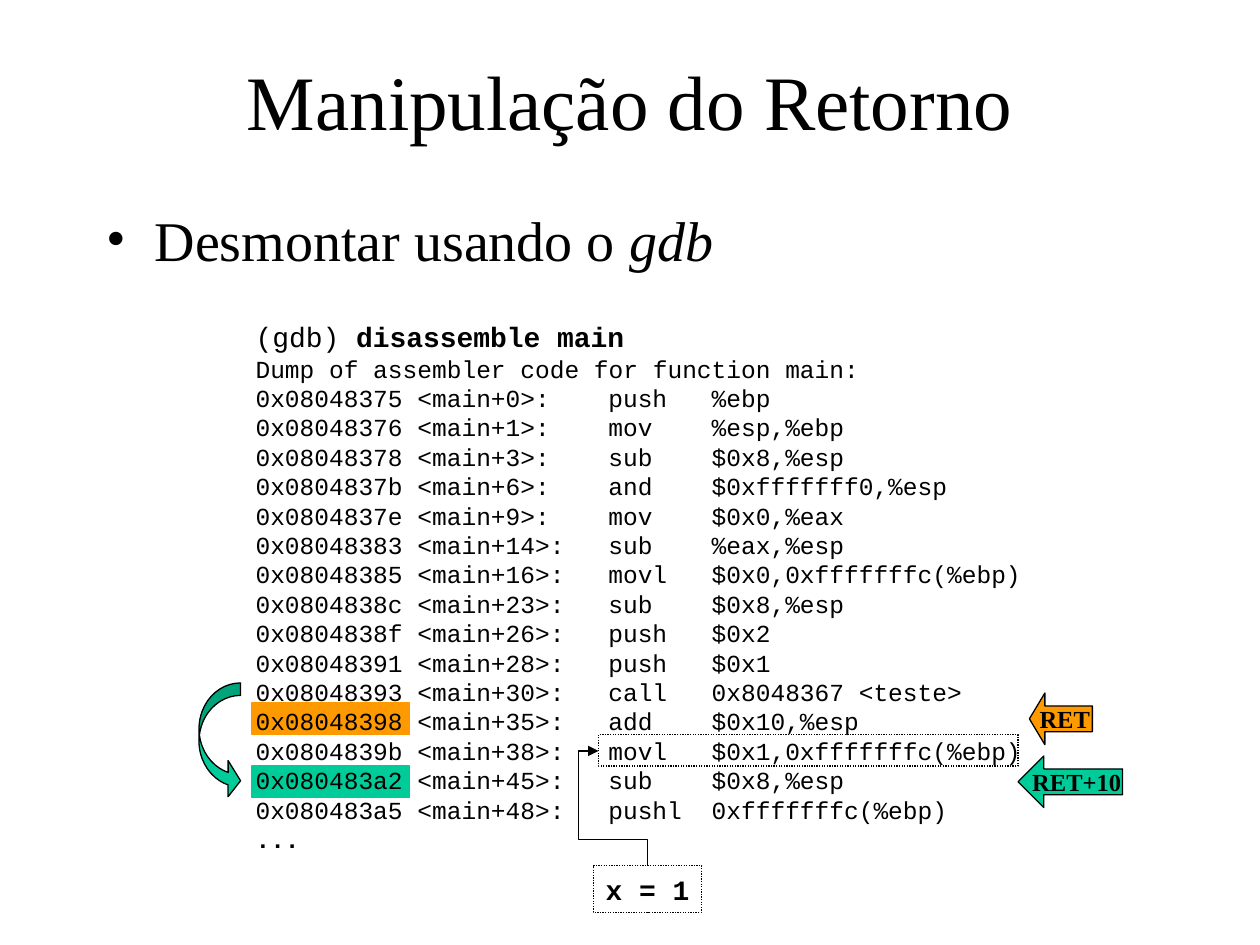
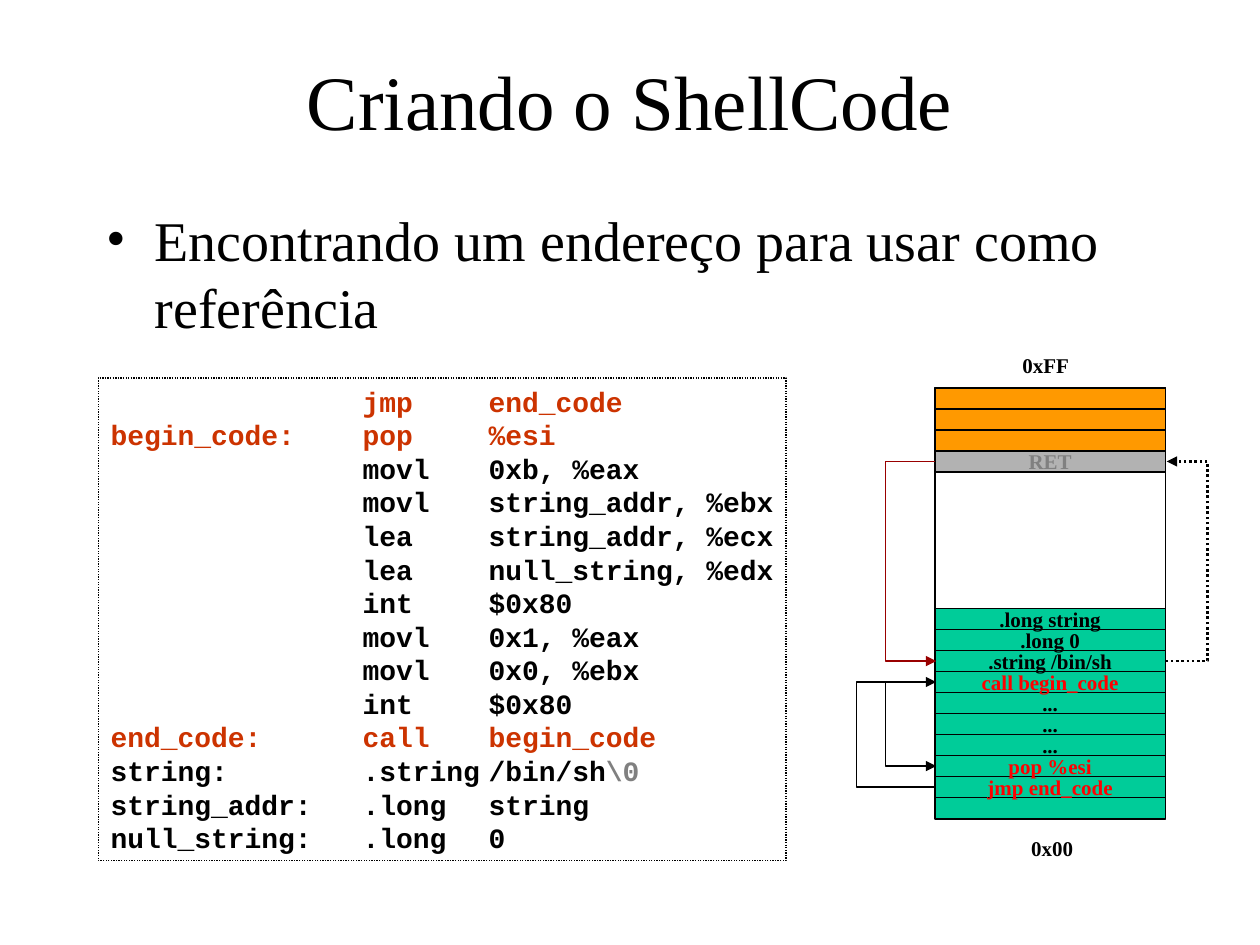
from lxml import etree
from pptx import Presentation
from pptx.dml.color import RGBColor
from pptx.enum import dml, shapes, text
from pptx.oxml import ns
from pptx.util import Inches, Pt

BLACK = RGBColor(0x00, 0x00, 0x00)
WHITE = RGBColor(0xFF, 0xFF, 0xFF)
ORANGE = RGBColor(0xFF, 0x99, 0x00)
GREEN = RGBColor(0x00, 0xCC, 0x99)
SILVER = RGBColor(0xB2, 0xB2, 0xB2)
GRAY = RGBColor(0x80, 0x80, 0x80)
RED = RGBColor(0xFF, 0x00, 0x00)
RUST = RGBColor(0xCC, 0x33, 0x00)
MAROON = RGBColor(0x99, 0x00, 0x00)

SERIF = "Times New Roman"
MONO = "Courier New"
DOTTED = dml.MSO_LINE.ROUND_DOT
RECTANGLE = shapes.MSO_SHAPE.RECTANGLE

INSTRUCTIONS = [
    ("0x08048375", 0, "push", "%ebp"),
    ("0x08048376", 1, "mov", "%esp,%ebp"),
    ("0x08048378", 3, "sub", "$0x8,%esp"),
    ("0x0804837b", 6, "and", "$0xfffffff0,%esp"),
    ("0x0804837e", 9, "mov", "$0x0,%eax"),
    ("0x08048383", 14, "sub", "%eax,%esp"),
    ("0x08048385", 16, "movl", "$0x0,0xfffffffc(%ebp)"),
    ("0x0804838c", 23, "sub", "$0x8,%esp"),
    ("0x0804838f", 26, "push", "$0x2"),
    ("0x08048391", 28, "push", "$0x1"),
    ("0x08048393", 30, "call", "0x8048367 <teste>"),
    ("0x08048398", 35, "add", "$0x10,%esp"),
    ("0x0804839b", 38, "movl", "$0x1,0xfffffffc(%ebp)"),
    ("0x080483a2", 45, "sub", "$0x8,%esp"),
    ("0x080483a5", 48, "pushl", "0xfffffffc(%ebp)"),
]

SHELLCODE = [
    ("", "jmp", "end_code", RUST),
    ("begin_code:", "pop", "%esi", RUST),
    ("", "movl", "0xb, %eax", BLACK),
    ("", "movl", "string_addr, %ebx", BLACK),
    ("", "lea", "string_addr, %ecx", BLACK),
    ("", "lea", "null_string, %edx", BLACK),
    ("", "int", "$0x80", BLACK),
    ("", "movl", "0x1, %eax", BLACK),
    ("", "movl", "0x0, %ebx", BLACK),
    ("", "int", "$0x80", BLACK),
    ("end_code:", "call", "begin_code", RUST),
    ("string:", ".string", "/bin/sh", BLACK),
    ("string_addr:", ".long", "string", BLACK),
    ("null_string:", ".long", "0", BLACK),
]

PAYLOAD = [
    (".long string", BLACK), (".long 0", BLACK), (".string /bin/sh", BLACK),
    ("call begin_code", RED), ("...", BLACK), ("...", BLACK), ("...", BLACK),
    ("pop %esi", RED), ("jmp end_code", RED), ("", BLACK),
]

STACK_LEFT, STACK_TOP, STACK_WIDTH = 7.42, 3.08, 1.83
STACK_RIGHT = STACK_LEFT + STACK_WIDTH
ROW = 1 / 6
PAYLOAD_TOP = 4.83


def format_font(font, name, size, color=BLACK, bold=False):
    font.name = name
    font.size = Pt(size)
    font.color.rgb = color
    font.bold = bold


def add_property(paragraph, tag, **attributes):
    properties = paragraph._p.get_or_add_pPr()
    element = etree.Element(ns.qn(tag), attributes)
    properties.insert_element_before(element, "a:defRPr")
    return element


def set_tabs(paragraph, stops):
    tab_list = add_property(paragraph, "a:tabLst")
    for stop in stops:
        etree.SubElement(tab_list, ns.qn("a:tab"), pos=str(Inches(stop)), algn="l")


def add_paragraph(frame, *runs):
    first = frame.paragraphs[0]
    paragraph = frame.add_paragraph() if first.runs else first
    for content in runs:
        paragraph.add_run().text = content
    return paragraph


def add_text_box(slide, left, top, width, height):
    box = slide.shapes.add_textbox(Inches(left), Inches(top), Inches(width), Inches(height))
    box.text_frame.word_wrap = True
    return box


def outline(shape, color=BLACK, dash=None, width=0.75):
    shape.line.color.rgb = color
    shape.line.width = Pt(width)
    if dash:
        shape.line.dash_style = dash


def add_block(slide, kind, left, top, width, height, fill=None, line=BLACK, dash=None):
    shape = slide.shapes.add_shape(
        kind, Inches(left), Inches(top), Inches(width), Inches(height))
    shape.shadow.inherit = False
    if fill is None:
        shape.fill.background()
    else:
        shape.fill.solid()
        shape.fill.fore_color.rgb = fill
    outline(shape, line, dash)
    return shape


def label(shape, content, size, color=BLACK, name=SERIF):
    frame = shape.text_frame
    frame.word_wrap = False
    frame.vertical_anchor = text.MSO_ANCHOR.MIDDLE
    paragraph = add_paragraph(frame, content)
    paragraph.alignment = text.PP_ALIGN.CENTER
    format_font(paragraph.font, name, size, color, True)


def add_elbow(slide, begin, end, adjustments, color=BLACK, width=0.75, dash=None):
    connector = slide.shapes.add_connector(
        shapes.MSO_CONNECTOR.ELBOW, *(Inches(value) for value in (*begin, *end)))
    outline(connector, color, dash, width)
    properties = connector.element.spPr
    etree.SubElement(properties.get_or_add_ln(), ns.qn("a:tailEnd"), type="triangle")
    etree.SubElement(properties, ns.qn("a:effectLst"))
    geometry = properties.find(ns.qn("a:prstGeom"))
    geometry.set("prst", f"bentConnector{len(adjustments) + 2}")
    guides = geometry.find(ns.qn("a:avLst"))
    for number, value in enumerate(adjustments, 1):
        etree.SubElement(guides, ns.qn("a:gd"), name=f"adj{number}",
                         fmla=f"val {round(value * 100000)}")
    return connector


def add_side_elbow(slide, x, begin_y, end_y, reach, **style):
    run = 0.01
    add_elbow(slide, (x, begin_y), (x + run, end_y), [reach / run], **style)


def add_topic_slide(presentation, title, *topic):
    slide = presentation.slides.add_slide(presentation.slide_layouts[5])
    heading = slide.shapes.title
    heading.left, heading.top = Inches(0.75), Inches(0.17)
    heading.width, heading.height = Inches(8.5), Inches(1.25)
    heading.text_frame.vertical_anchor = text.MSO_ANCHOR.MIDDLE
    paragraph = add_paragraph(heading.text_frame, title)
    paragraph.alignment = text.PP_ALIGN.CENTER
    format_font(paragraph.font, SERIF, 44)

    body = add_text_box(slide, 0.75, 1.58, 8.5, 1.2)
    paragraph = add_paragraph(body.text_frame, *topic)
    paragraph.space_before = Pt(8)
    format_font(paragraph.font, SERIF, 32)
    properties = paragraph._p.get_or_add_pPr()
    properties.set("marL", str(Inches(0.38)))
    properties.set("indent", str(-Inches(0.38)))
    add_property(paragraph, "a:buFont", typeface=SERIF)
    add_property(paragraph, "a:buChar", char="•")
    return slide, paragraph


def add_disassembly(slide):
    frame = add_text_box(slide, 1.93, 2.49, 6.28, 4.34).text_frame
    frame.margin_right = 0
    command = add_paragraph(frame, "(gdb) ", "disassemble main")
    format_font(command.font, MONO, 16)
    command.runs[1].font.bold = True
    header = add_paragraph(frame, "Dump of assembler code for function main:")
    format_font(header.font, MONO, 14)
    for address, offset, operation, operand in INSTRUCTIONS:
        line = add_paragraph(frame, f"{address} <main+{offset}>:\t{operation}\t{operand}")
        format_font(line.font, MONO, 14)
        set_tabs(line, (2.8, 3.62))
    format_font(add_paragraph(frame, "...").font, MONO, 14, bold=True)


def add_return_slide(presentation):
    slide, topic = add_topic_slide(
        presentation, "Manipulação do Retorno", "Desmontar usando o ", "gdb")
    topic.runs[1].font.italic = True

    returns = [
        ("RET", ORANGE, 5.58, (8.17, 5.5, 0.5, 0.41), 0.3),
        ("RET+10", GREEN, 6.08, (8.08, 6, 0.83, 0.41), 0.5),
    ]
    for name, color, highlight_top, arrow_place, head in returns:
        add_block(slide, RECTANGLE, 2, highlight_top, 1.25, 0.25, color, color)
        arrow = add_block(slide, shapes.MSO_SHAPE.LEFT_ARROW, *arrow_place, color)
        arrow.adjustments[0], arrow.adjustments[1] = 0.5, head
        label(arrow, name, 14)

    jump = add_block(slide, shapes.MSO_SHAPE.CURVED_RIGHT_ARROW,
                     1.58, 5.42, 0.33, 0.92, GREEN)
    for index, value in enumerate((0.3, 0.87, 0.3)):
        jump.adjustments[index] = value

    add_disassembly(slide)
    assignment = add_block(slide, RECTANGLE, 4.71, 6.87, 0.86, 0.37, dash=DOTTED)
    label(assignment, "x = 1", 16, name=MONO)
    add_block(slide, RECTANGLE, 4.75, 5.83, 3.33, 0.25, dash=DOTTED)
    pointer = add_elbow(slide, (4.49, 6.61), (5.4, 6.22), [0.23, 1.41])
    pointer.element.spPr.find(ns.qn("a:xfrm")).set("rot", str(270 * 60000))


def add_shellcode(slide):
    listing = add_block(slide, RECTANGLE, 0.78, 3, 5.46, 3.83, dash=DOTTED)
    frame = listing.text_frame
    frame.word_wrap = True
    frame.margin_right = 0
    frame.vertical_anchor = text.MSO_ANCHOR.TOP
    for name, operation, operand, color in SHELLCODE:
        line = add_paragraph(frame, f"{name}\t{operation}\t{operand}")
        line.alignment = text.PP_ALIGN.LEFT
        format_font(line.font, MONO, 16, color, True)
        set_tabs(line, (2, 3))
        if operation == ".string":
            terminator = line.add_run()
            terminator.text = "\\0"
            terminator.font.color.rgb = GRAY


def add_stack_row(slide, top, fill, content="", color=BLACK):
    row = add_block(slide, RECTANGLE, STACK_LEFT, top, STACK_WIDTH, ROW, fill)
    if content:
        label(row, content, 12, color)


def add_stack(slide):
    add_block(slide, RECTANGLE, STACK_LEFT, STACK_TOP, STACK_WIDTH, 3.42, WHITE)
    for address, left, top in (("0xFF", 7.8, 2.75), ("0x00", 7.85, 6.58)):
        label(add_text_box(slide, left, top, 1, 0.3), address, 12)
    for index in range(3):
        add_stack_row(slide, STACK_TOP + index * ROW, ORANGE)
    add_stack_row(slide, STACK_TOP + 3 * ROW, SILVER, "RET", GRAY)
    for index, (content, color) in reversed(list(enumerate(PAYLOAD))):
        add_stack_row(slide, PAYLOAD_TOP + index * ROW, GREEN, content, color)

    return_y = STACK_TOP + 3.5 * ROW
    string_y, call_y, pop_y, jump_y = (
        PAYLOAD_TOP + (index + 0.5) * ROW for index in (2, 3, 7, 8))
    add_side_elbow(slide, STACK_RIGHT, string_y, return_y, 0.34, width=1.5, dash=DOTTED)
    add_side_elbow(slide, STACK_LEFT, jump_y, call_y, -0.63)
    add_side_elbow(slide, STACK_LEFT, call_y, pop_y, -0.4)
    add_side_elbow(slide, STACK_LEFT, return_y, string_y, -0.4, color=MAROON)


def add_shellcode_slide(presentation):
    slide, _ = add_topic_slide(presentation, "Criando o ShellCode",
                               "Encontrando um endereço para usar como referência")
    add_shellcode(slide)
    add_stack(slide)


def main():
    presentation = Presentation()
    presentation.slide_width = Inches(10)
    presentation.slide_height = Inches(7.5)
    add_return_slide(presentation)
    add_shellcode_slide(presentation)
    presentation.save("out.pptx")


if __name__ == "__main__":
    main()
